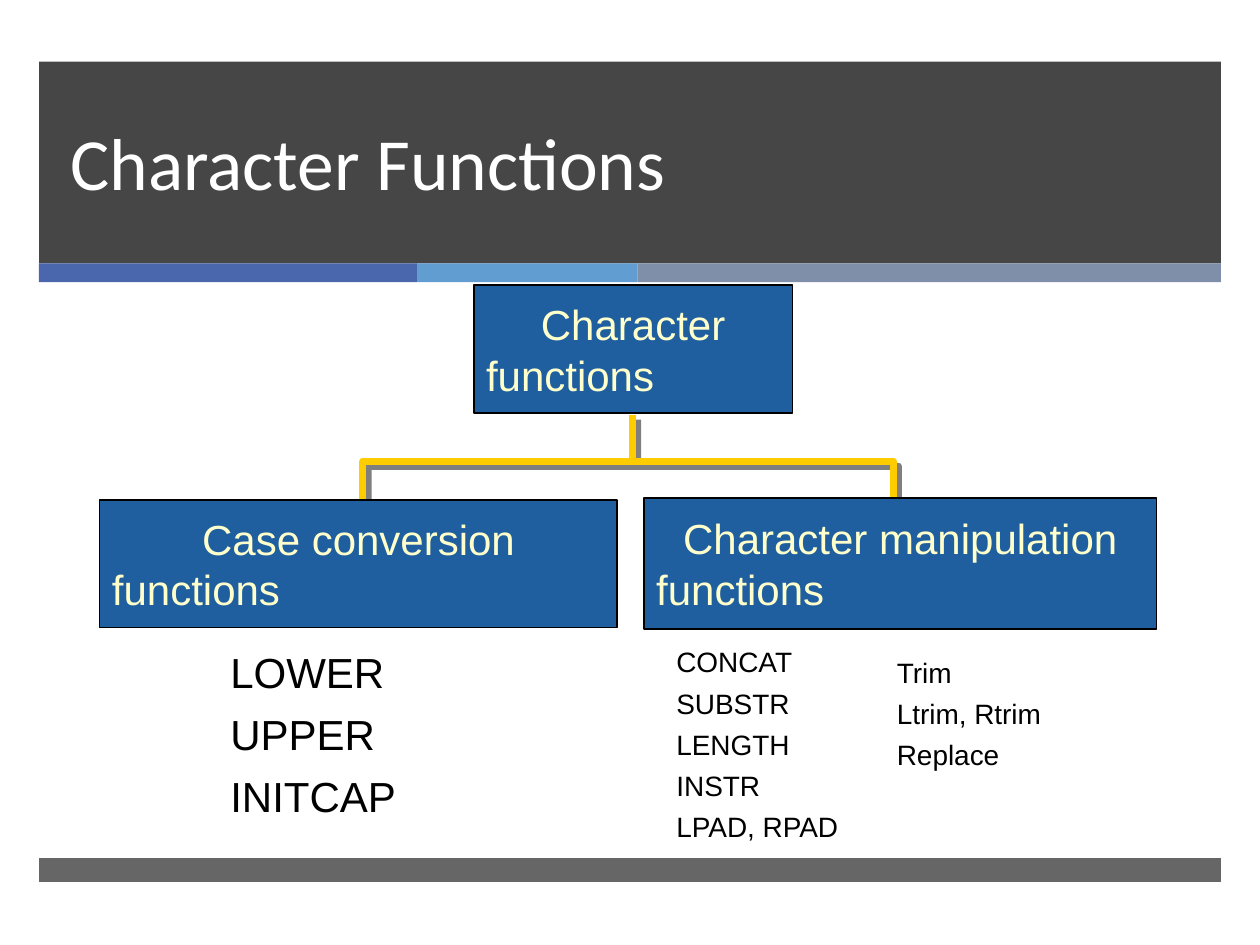
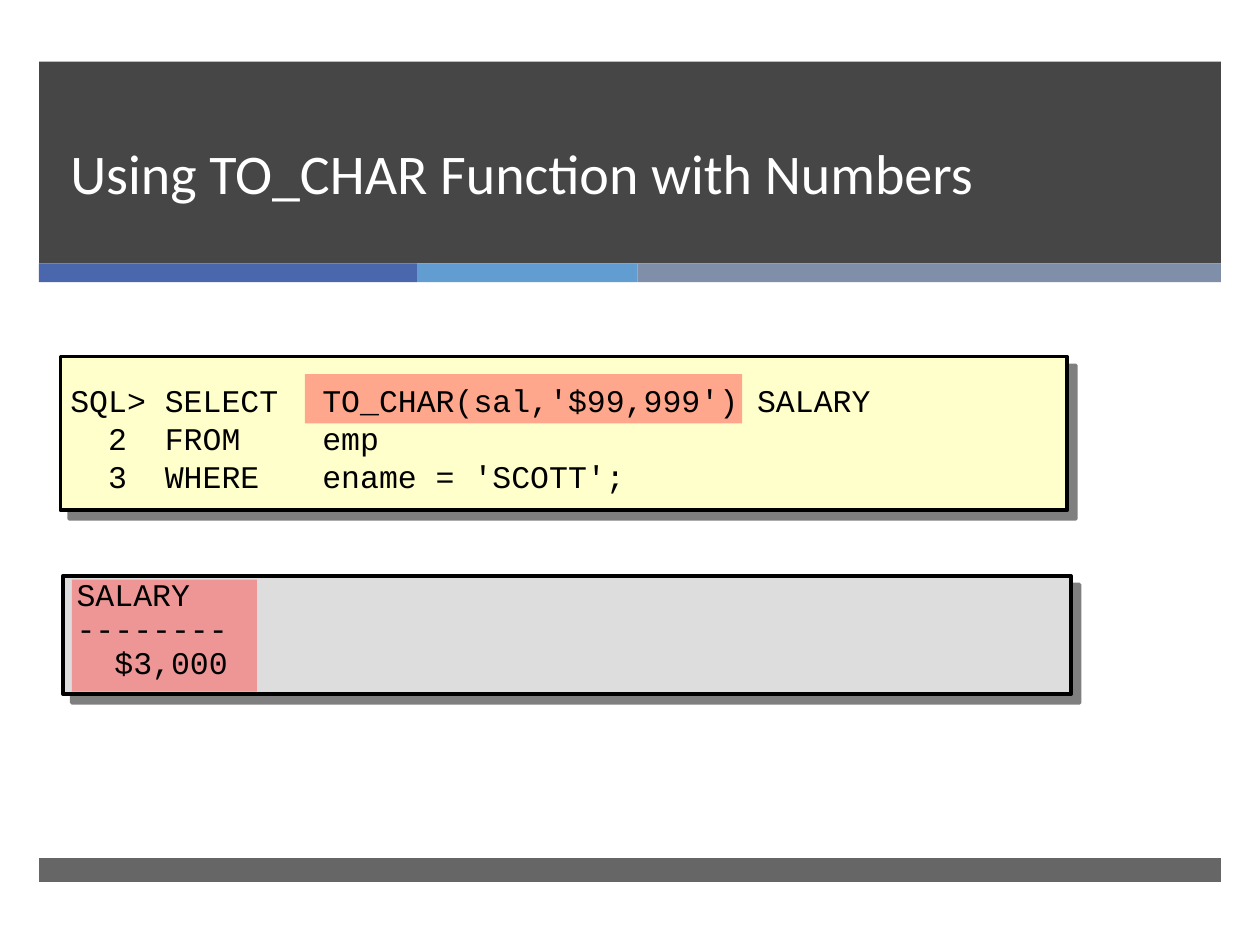
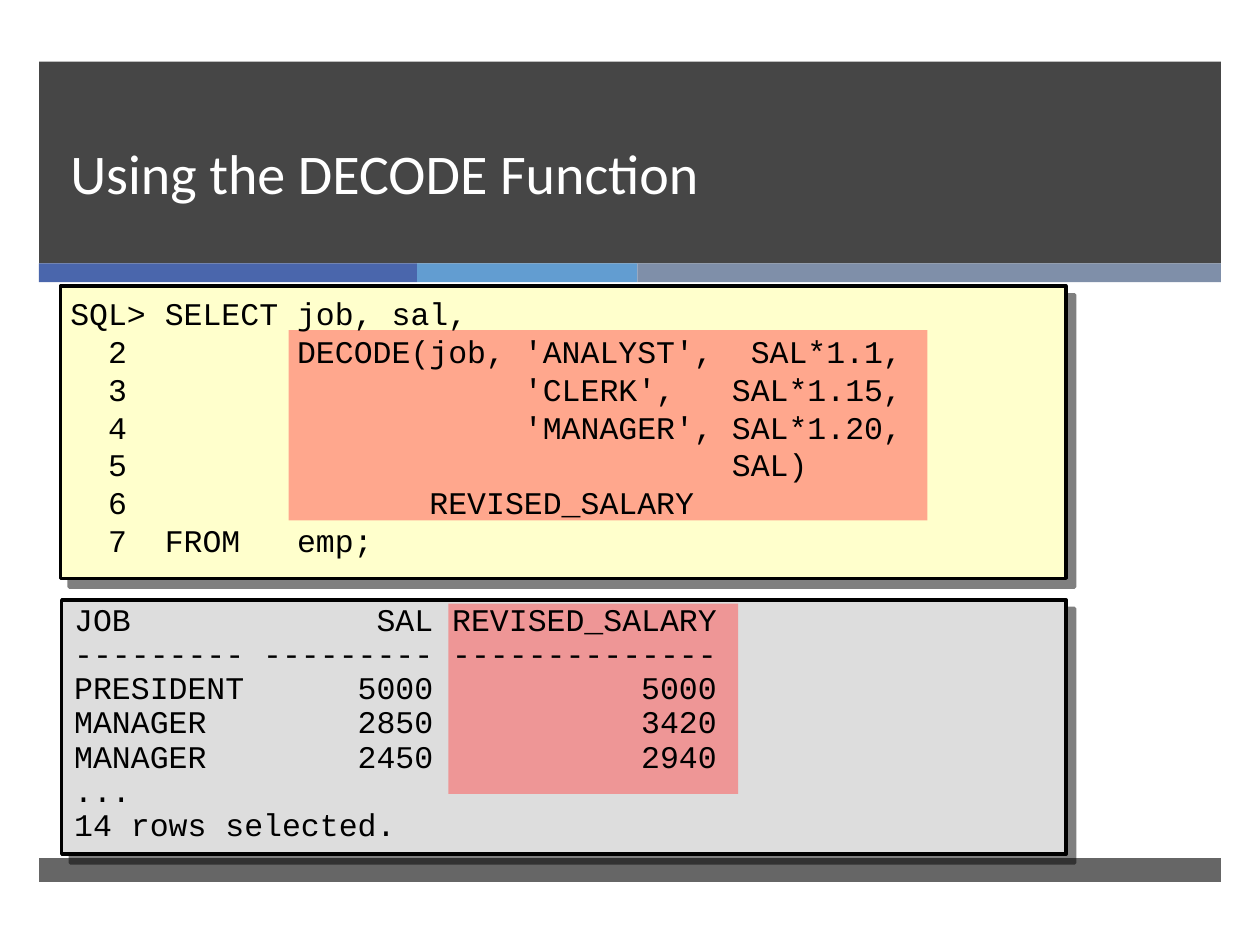
from lxml.etree import SubElement as Sub
from pptx import Presentation
from pptx.dml.color import RGBColor as RGB
from pptx.enum.shapes import MSO_CONNECTOR as LINK, MSO_SHAPE as FORM
from pptx.enum.text import MSO_ANCHOR as ANCHOR
from pptx.oxml.ns import qn
from pptx.util import Inches, Pt

COLS, ROWS = 100, 75  # grid of the 10 x 7.5 inch slide
EDGE, SPAN = 3.1, 93.8  # left edge and width of the bands
INK, DARK, WHITE = "000000", "262626", "FFFFFF"
NAVY, CREAM, GOLD = "1F5FA0", "FFFFCC", "FFCC00"
SILVER, RED = "DDDDDD", "FF5050"
STRIPES = [("4A66AC", 30), ("629DD1", 17.5), ("7F8FA9", 46.3)]


def paint(color, hue, alpha=100):
    color.rgb = RGB.from_string(hue)
    if alpha < 100:
        node = color._xFill.find(qn("a:srgbClr"))
        Sub(node, qn("a:alpha"), val=str(alpha * 1000))


def shade(item, dist=0):
    """Replace the theme shadow by a hard one, or by none if dist is 0."""
    effects = Sub(item._element.spPr, qn("a:effectLst"))
    if dist:
        cast = Sub(effects, qn("a:outerShdw"), blurRad="0", dist=str(Pt(dist)),
                   dir=str(45 * 60000), algn="ctr", rotWithShape="0")
        tone = Sub(cast, qn("a:srgbClr"), val=INK)
        Sub(tone, qn("a:alpha"), val="50000")


def write(frame, text, size=18, font="Arial", hue=INK, anchor=ANCHOR.TOP,
          lead=None, gap=0, tab=None):
    """Fill a frame, one paragraph a line; gap is a share of the size."""
    frame.word_wrap = True
    frame.vertical_anchor = anchor
    for index, line in enumerate(text.split("\n")):
        para = frame.add_paragraph() if index else frame.paragraphs[0]
        if lead:
            para.line_spacing = lead
        if gap and index:
            para.space_before = Pt(round(size * gap, 1))
        if tab:
            stops = Sub(para._p.get_or_add_pPr(), qn("a:tabLst"))
            Sub(stops, qn("a:tab"), pos=str(Inches(tab)), algn="l")
        run = para.add_run()
        run.text = line
        run.font.size, run.font.name = Pt(size), font
        paint(run.font.color, hue)


class Deck:
    def __init__(self):
        self.show = Presentation()
        self.show.slide_width, self.show.slide_height = Inches(10), Inches(7.5)
        self.slide = None

    def x(self, col):
        return round(self.show.slide_width * col / COLS)

    def y(self, row):
        return round(self.show.slide_height * row / ROWS)

    def place(self, at):
        left, top, width, height = at
        return self.x(left), self.y(top), self.x(width), self.y(height)

    def page(self, title, size=32):
        """Start a slide with its bands and title."""
        self.slide = self.show.slides.add_slide(self.show.slide_layouts[6])
        self.box((EDGE, 4.9, SPAN, 16), DARK, alpha=85)
        left = EDGE
        for hue, width in STRIPES:
            self.box((left, 20.9, width, 1.5), hue)
            left += width
        self.box((EDGE, 68.1, SPAN, 1.9), DARK, alpha=70)
        self.text((4.6, 4.9, 85.4, 11.9), title, size=size, font="Calibri",
                  hue=WHITE, anchor=ANCHOR.BOTTOM, lead=Pt(46))

    def box(self, at, fill, alpha=100, line=0, drop=0):
        item = self.slide.shapes.add_shape(FORM.RECTANGLE, *self.place(at))
        item.fill.solid()
        paint(item.fill.fore_color, fill, alpha)
        if line:
            self.stroke(item, INK, line)
        else:
            item.line.fill.background()
        shade(item, drop)
        return item

    def stroke(self, item, hue, width):
        item.line.width = Pt(width)
        paint(item.line.color, hue)

    def text(self, at, text, **look):
        write(self.slide.shapes.add_textbox(*self.place(at)).text_frame,
              text, **look)

    def node(self, at, text):
        write(self.box(at, NAVY, line=1).text_frame, text, size=24, hue=CREAM,
              anchor=ANCHOR.MIDDLE)

    def names(self, at, text, size):
        self.text(at, text, size=size, lead=0.9, gap=0.39)

    def wire(self, *points):
        """Draw a gold line, or a bent one through more than two points."""
        spots = [(self.x(col), self.y(row)) for col, row in points]
        shapes = self.slide.shapes
        if len(spots) == 2:
            item = shapes.add_connector(LINK.STRAIGHT, *spots[0], *spots[1])
        else:
            pen = shapes.build_freeform(*spots[0])
            pen.add_line_segments(spots[1:], close=False)
            item = pen.convert_to_shape()
            item.fill.background()
        self.stroke(item, GOLD, 4)
        shade(item, 4.2)

    def query(self, panels, marks, code, result):
        """Show code over its result; code and result are (place, text)."""
        for at, fill in zip(panels, (CREAM, SILVER)):
            self.box(at, fill, line=2, drop=7.1)
        for at in marks:
            self.box(at, RED, alpha=50)
        self.text(*code, font="Courier New", anchor=ANCHOR.MIDDLE, tab=2)
        self.text(*result, font="Courier New", lead=0.9)


SCOTT = """SQL> SELECT\tTO_CHAR(sal,'$99,999') SALARY
  2  FROM\temp
  3  WHERE\tename = 'SCOTT';"""

SCOTT_OUT = """SALARY
--------
  $3,000"""

RAISE = """SQL> SELECT job, sal,
  2         DECODE(job, 'ANALYST',  SAL*1.1,
  3                     'CLERK',   SAL*1.15,
  4                     'MANAGER', SAL*1.20,
  5                                SAL)
  6                REVISED_SALARY
  7  FROM   emp;"""

RAISE_OUT = """JOB             SAL REVISED_SALARY
--------- --------- --------------
PRESIDENT      5000           5000
MANAGER        2850           3420
MANAGER        2450           2940
...
14 rows selected."""


def tree(deck):
    deck.page("Character Functions", size=42)
    deck.node((37.6, 22.6, 25.3, 10.2), "Character\nfunctions")
    deck.names((17.3, 51.3, 15.3, 14.6), "LOWER\nUPPER\nINITCAP", 24)
    deck.names((52.7, 51, 15.6, 16.8),
               "CONCAT\nSUBSTR\nLENGTH\nINSTR\nLPAD, RPAD", 16)
    deck.wire((50.2, 36.4), (50.2, 32.9))
    deck.wire((28.8, 42.1), (28.8, 36.6), (70.9, 36.6), (70.9, 42.5))
    deck.node((7.9, 39.7, 41.1, 10.1), "Case conversion\nfunctions")
    deck.node((51.1, 39.5, 40.7, 10.4), "Character manipulation\nfunctions")
    deck.names((70.2, 51.8, 14.7, 10.1), "Trim\nLtrim, Rtrim\nReplace", 16)


def main():
    deck = Deck()
    tree(deck)
    deck.page("Using TO_CHAR Function with Numbers")
    deck.query(
        panels=[(4.8, 28.3, 79.9, 12.2), (5, 45.7, 80, 9.4)],
        marks=[(24.2, 29.7, 34.7, 3.9), (5.7, 46, 14.7, 8.9)],
        code=((4.6, 26.9, 80.2, 15.7), SCOTT),
        result=((5.1, 45.5, 79.4, 9.1), SCOTT_OUT))
    deck.page("Using the DECODE Function")
    deck.query(
        panels=[(4.8, 22.7, 79.8, 23.2), (4.9, 47.6, 79.7, 20.2)],
        marks=[(22.9, 26.2, 50.7, 15.1), (35.6, 47.9, 23, 15.1)],
        code=((4.6, 22.1, 80, 23.5), RAISE),
        result=((4.9, 47.5, 79.5, 20), RAISE_OUT))
    deck.show.save("out.pptx")


if __name__ == "__main__":
    main()
